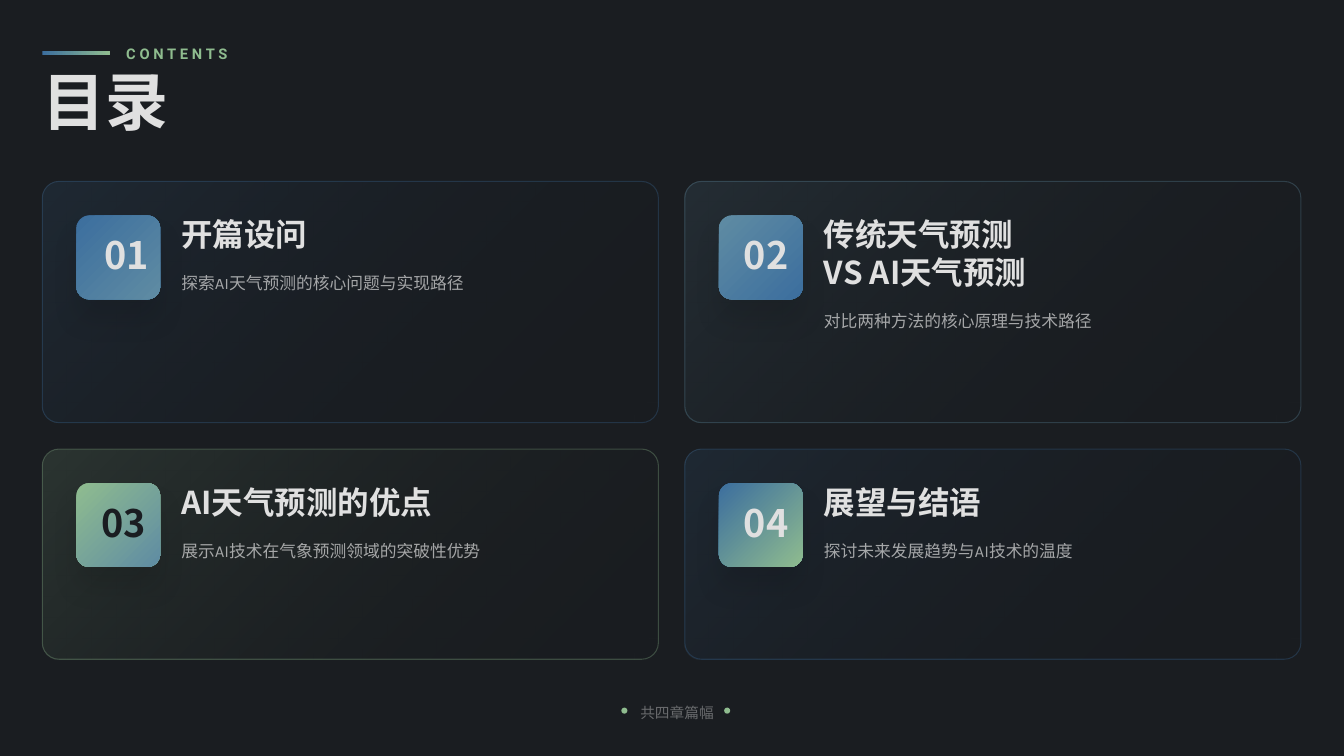
from dataclasses import dataclass

from lxml import etree
from pptx import Presentation
from pptx.dml.color import RGBColor
from pptx.enum.shapes import MSO_SHAPE as Shape
from pptx.enum.text import MSO_ANCHOR as Anchor, MSO_AUTO_SIZE as Fit, PP_ALIGN as Align
from pptx.oxml.ns import qn
from pptx.util import Inches, Pt


@dataclass(frozen=True)
class Theme:
    """Colours, fonts and type sizes of the slide."""
    back: str = "1A1D21"
    text: str = "E0E0E0"
    blue: str = "3C6E9E"
    teal: str = "5F8CA3"
    green: str = "8FBC8F"
    black: str = "000000"
    cjk: str = "Noto Sans CJK SC"
    body: str = "Karla"
    label: str = "Roboto"
    title: int = 60
    num: int = 36
    head: int = 30
    desc: int = 16
    small: int = 14


T = Theme()


def tint(color, code, alpha=100):
    """Set an RGB colour and its opacity in percent."""
    color.rgb = RGBColor.from_string(code)
    return alpha * 1000


def fade(node, alpha):
    """Add opacity to the first RGB colour under a node."""
    if alpha < 100:
        rgb = next(node.iter(qn("a:srgbClr")))
        etree.SubElement(rgb, qn("a:alpha"), val=str(alpha * 1000))


def blend(shape, start, end, angle=0, alphas=(100, 100)):
    """Fill a shape with a two-colour gradient."""
    shape.fill.gradient()
    shape.fill.gradient_angle = -angle % 360
    nodes = shape._element.spPr.iter(qn("a:gs"))
    stops = shape.fill.gradient_stops
    for stop, node, code, alpha, pos in zip(stops, nodes, (start, end), alphas, (0, 1)):
        stop.color.rgb = RGBColor.from_string(code)
        stop.position = pos
        fade(node, alpha)


def block(slide, kind, box, radius=0):
    """Add a plain shape without line or shadow."""
    shape = slide.shapes.add_shape(kind, *map(Inches, box))
    shape.shadow.inherit = False
    shape.line.fill.background()
    if radius:
        shape.adjustments[0] = radius / min(box[2:])
    return shape


def write(shape, lines, size, font, code=T.text, bold=False, alpha=100, lead=None, track=0):
    """Write left-aligned lines into a shape, one paragraph each."""
    frame = shape.text_frame
    frame.auto_size = Fit.NONE
    frame.word_wrap = True
    frame.vertical_anchor = Anchor.MIDDLE
    frame.margin_left = frame.margin_right = frame.margin_top = frame.margin_bottom = 0
    for i, line in enumerate(lines):
        para = frame.add_paragraph() if i else frame.paragraphs[0]
        para.alignment = Align.LEFT
        if lead:
            para.line_spacing = lead
        run = para.add_run()
        run.text = line
        run.font.size, run.font.name, run.font.bold = Pt(size), font, bold
        run.font.color.rgb = RGBColor.from_string(code)
        props = run._r.get_or_add_rPr()
        fade(props, alpha)
        etree.SubElement(props, qn("a:ea"), typeface=T.cjk)
        if track:
            props.set("spc", str(int(track * 100)))


def label(slide, box, lines, size, font, **look):
    """Add a text box."""
    write(slide.shapes.add_textbox(*map(Inches, box)), lines, size, font, **look)


def panel(slide, box, code):
    """Add the faded panel behind a chapter."""
    shape = block(slide, Shape.ROUNDED_RECTANGLE, box, 0.22)
    blend(shape, code, T.black, 45, (15, 0))
    shape.line.width = Pt(1)
    shape.line.color.rgb = RGBColor.from_string(code)
    fade(shape.line._ln, 30)


def badge(slide, x, y, start, end):
    """Add the shaded square behind a chapter number."""
    shape = block(slide, Shape.ROUNDED_RECTANGLE, (x, y, 1.11, 1.11), 0.17)
    blend(shape, start, end, 45)
    glow = etree.SubElement(
        shape._element.spPr.find(qn("a:effectLst")), qn("a:outerShdw"),
        blurRad=str(Pt(25)), dist=str(Pt(20)), dir="5400000", algn="ctr", rotWithShape="0")
    rgb = etree.SubElement(glow, qn("a:srgbClr"), val=T.black)
    etree.SubElement(rgb, qn("a:alpha"), val="10000")


def card(slide, x, y, high, num, inset, head, desc, start, end, ink=T.text):
    """Add one chapter card."""
    panel(slide, (x, y, 8.15, high), start)
    left, top = x + 0.45, y + 0.45
    badge(slide, left, top, start, end)
    label(slide, (left + inset, top + 0.28, 0.72, 0.56), [num], T.num, T.cjk,
          code=ink, bold=True, lead=0.9)
    tall = 0.5 * len(head)
    label(slide, (x + 1.84, top, 6.07, tall), head, T.head, T.cjk, bold=True)
    label(slide, (x + 1.84, top + tall + 0.16, 5.97, 0.36), [desc], T.desc, T.body,
          alpha=70, lead=1.4)


def header(slide):
    """Add the accent bar, label and title."""
    blend(block(slide, Shape.RECTANGLE, (0.56, 0.67, 0.89, 0.06)), T.blue, T.green)
    label(slide, (1.67, 0.53, 1.56, 0.31), ["CONTENTS"], T.small, T.label,
          code=T.green, bold=True, lead=1.2, track=3.5)
    title = slide.shapes.title
    title.left, title.top, title.width, title.height = map(Inches, (0.56, 1, 17.08, 0.83))
    write(title, ["目录"], T.title, T.cjk, bold=True, lead=0.8)


def footer(slide):
    """Add the closing line between two dots."""
    for x in (8.22, 9.58):
        dot = block(slide, Shape.OVAL, (x, 9.36, 0.08, 0.08))
        dot.fill.solid()
        dot.fill.fore_color.rgb = RGBColor.from_string(T.green)
    label(slide, (8.47, 9.26, 4.35, 0.28), ["共四章篇幅"], T.small, T.label, alpha=40, lead=1.2)


def main():
    """Build and save the contents slide."""
    deck = Presentation()
    deck.slide_width, deck.slide_height = Inches(17.78), Inches(10)
    slide = deck.slides.add_slide(deck.slide_layouts[5])
    slide.background.fill.solid()
    slide.background.fill.fore_color.rgb = RGBColor.from_string(T.back)
    header(slide)
    cards = [
        ("01", 0.37, ["开篇设问"], "探索AI天气预测的核心问题与实现路径", T.blue, T.teal),
        ("02", 0.33, ["传统天气预测", "VS AI天气预测"], "对比两种方法的核心原理与技术路径",
         T.teal, T.blue),
        ("03", 0.33, ["AI天气预测的优点"], "展示AI技术在气象预测领域的突破性优势",
         T.green, T.teal, T.back),
        ("04", 0.33, ["展望与结语"], "探讨未来发展趋势与AI技术的温度", T.blue, T.green),
    ]
    rows = ((2.4, 3.19), (5.94, 2.78))
    for i, item in enumerate(cards):
        card(slide, 0.56 + 8.5 * (i % 2), *rows[i // 2], *item)
    footer(slide)
    deck.save("out.pptx")


if __name__ == "__main__":
    main()
